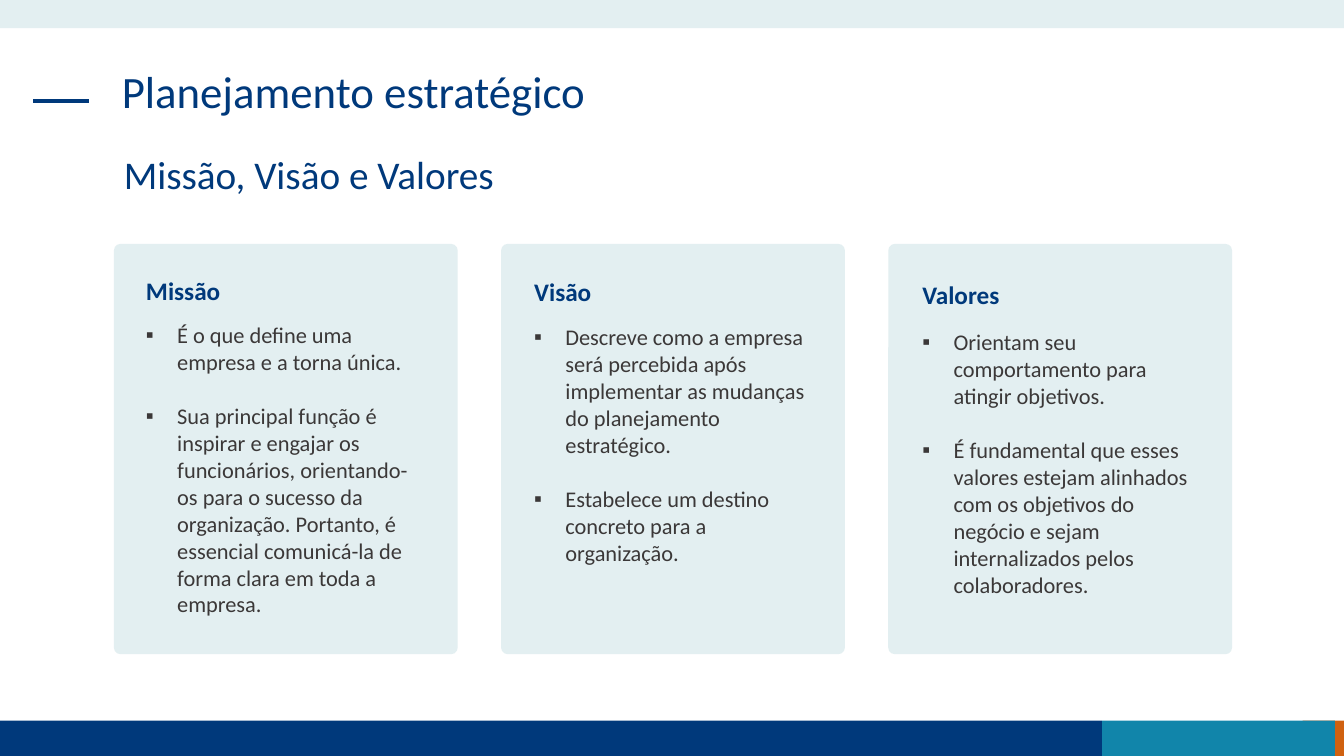
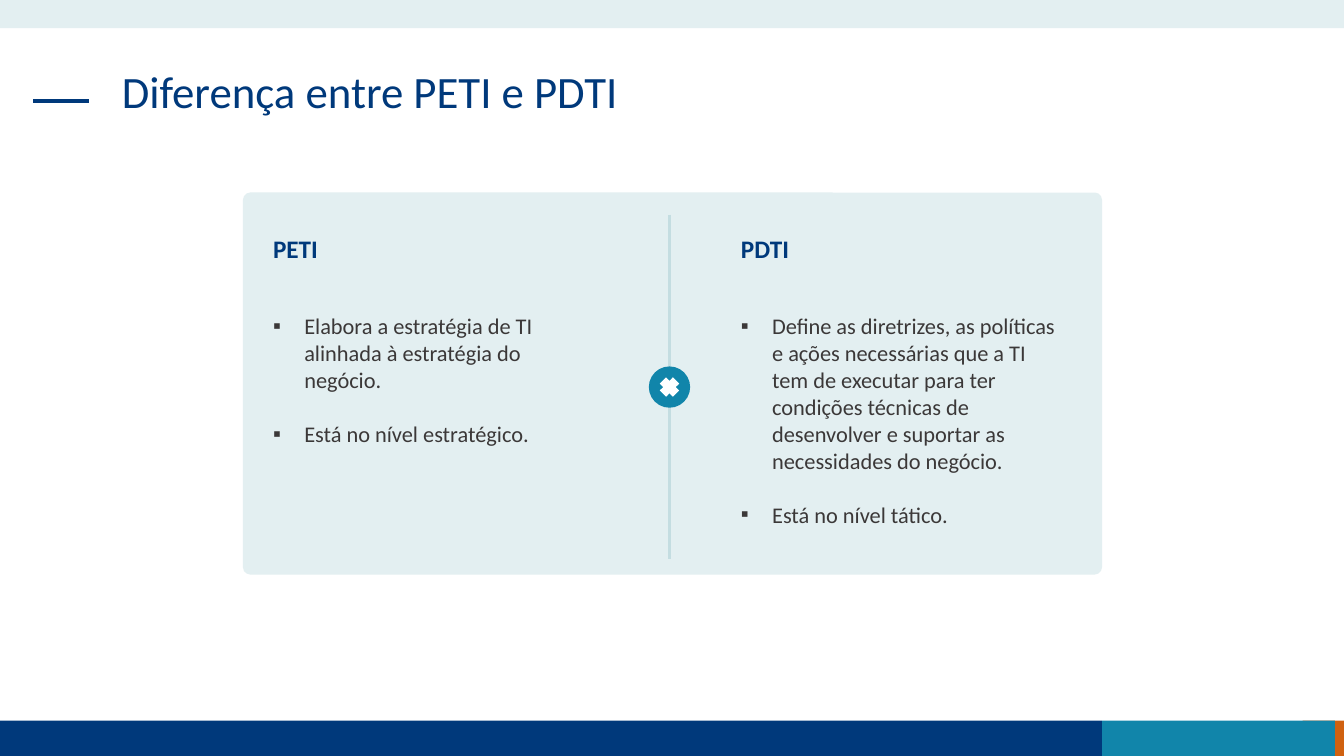
"""Builds two slides on strategic planning: mission, vision and values; PETI and PDTI."""
from lxml import etree
from pptx import Presentation
from pptx.dml.color import RGBColor
from pptx.enum.shapes import MSO_CONNECTOR, MSO_SHAPE
from pptx.oxml.ns import qn
from pptx.util import Inches, Pt

NAVY = RGBColor(0x00, 0x39, 0x7B)
TEAL = RGBColor(0x11, 0x85, 0xAA)
ORANGE = RGBColor(0xD0, 0x61, 0x10)
PALE = RGBColor(0xE3, 0xEF, 0xF1)
DIVIDER = RGBColor(0xC4, 0xDD, 0xE1)
GREY = RGBColor(0x3B, 0x38, 0x38)
WHITE = RGBColor(0xFF, 0xFF, 0xFF)
FONT = "Calibri"
WIDTH, HEIGHT = 13.33, 7.5
FOOT_TOP, FOOT_H = 7.15, 0.35

BANDS = [
    (12.92, FOOT_TOP, 0.41, FOOT_H, ORANGE),
    (0, FOOT_TOP, 10.93, FOOT_H, NAVY),
    (10.93, FOOT_TOP, 2.31, FOOT_H, TEAL),
    (0, 0, WIDTH, 0.28, PALE),
]

PILLARS = [
    ("Missão", 2.68, 3.14, [
        "É o que define uma empresa e a torna única.",
        "Sua principal função é inspirar e engajar os funcionários, orientando-os para o "
        "sucesso da organização. Portanto, é essencial comunicá-la de forma clara em toda "
        "a empresa."]),
    ("Visão", 2.69, 3.16, [
        "Descreve como a empresa será percebida após implementar as mudanças do "
        "planejamento estratégico.",
        "Estabelece um destino concreto para a organização."]),
    ("Valores", 2.72, 3.21, [
        "Orientam seu comportamento para atingir objetivos.",
        "É fundamental que esses valores estejam alinhados com os objetivos do negócio e "
        "sejam internalizados pelos colaboradores."]),
]

PLANS = [
    ("PETI", [
        "Elabora a estratégia de TI alinhada à estratégia do negócio.",
        "Está no nível estratégico."]),
    ("PDTI", [
        "Define as diretrizes, as políticas e ações necessárias que a TI tem de executar "
        "para ter condições técnicas de desenvolver e suportar as necessidades do negócio.",
        "Está no nível tático."]),
]


def add_box(slide, kind, x, y, w, h, fill, adj=None):
    sp = slide.shapes.add_shape(kind, Inches(x), Inches(y), Inches(w), Inches(h))
    sp.shadow.inherit = False
    sp.fill.solid()
    sp.fill.fore_color.rgb = fill
    sp.line.fill.background()
    if adj is not None:
        sp.adjustments[0] = adj


def add_line(slide, x1, y1, x2, y2, color, width):
    cx = slide.shapes.add_connector(
        MSO_CONNECTOR.STRAIGHT, Inches(x1), Inches(y1), Inches(x2), Inches(y2))
    cx.line.color.rgb = color
    cx.line.width = Pt(width)
    etree.SubElement(cx._element.spPr, qn("a:effectLst"))


def add_bullet(p):
    pPr = p._p.get_or_add_pPr()
    pPr.set("marL", str(Inches(0.31)))
    pPr.set("indent", str(-Inches(0.31)))
    etree.SubElement(pPr, qn("a:buFont"), typeface="Arial")
    etree.SubElement(pPr, qn("a:buChar"), char="▪")


def add_text(slide, paragraphs, x, y, w, h, size=16, color=GREY, bold=False,
             bullets=False, spacing=None, gap=19.5):
    tf = slide.shapes.add_textbox(Inches(x), Inches(y), Inches(w), Inches(h)).text_frame
    tf.word_wrap = True
    for i, line in enumerate(paragraphs):
        p = tf.add_paragraph() if i else tf.paragraphs[0]
        if bullets:
            add_bullet(p)
        if i:
            p.space_before = Pt(gap)
        if spacing:
            p.line_spacing = spacing
        r = p.add_run()
        r.text = line
        r.font.name = FONT
        r.font.size = Pt(size)
        r.font.bold = bold
        r.font.color.rgb = color


def add_topic(slide, heading, points, x, heading_top, points_top, w, h):
    add_text(slide, [heading], x, heading_top, w, 0.4, size=18, color=NAVY, bold=True)
    add_text(slide, points, x, points_top, w, h, bullets=True)


def new_slide(prs, title):
    slide = prs.slides.add_slide(prs.slide_layouts[6])
    for x, y, w, h, color in BANDS:
        add_box(slide, MSO_SHAPE.RECTANGLE, x, y, w, h, color)
    add_line(slide, 0.33, 1, 0.88, 1, NAVY, 3)
    add_text(slide, [title], 1.11, 0.64, 11.1, 0.94, size=32, color=NAVY, spacing=0.9)
    return slide


def build_pillars(prs):
    slide = new_slide(prs, "Planejamento estratégico")
    add_text(slide, ["Missão, Visão e Valores"], 1.13, 1.49, 11.09, 0.59,
             size=28, color=NAVY, spacing=0.9)
    for i, (heading, heading_top, points_top, points) in enumerate(PILLARS):
        add_box(slide, MSO_SHAPE.ROUNDED_RECTANGLE, 1.13 + i * 3.84, 2.42, 3.41, 4.07,
                PALE, adj=0.019)
        add_topic(slide, heading, points, 1.35 + i * 3.85, heading_top, points_top, 2.96, 3)


def build_plans(prs):
    slide = new_slide(prs, "Diferença entre PETI e PDTI")
    add_box(slide, MSO_SHAPE.ROUNDED_RECTANGLE, 2.41, 1.91, 8.52, 3.79, PALE, adj=0.019)
    for i, (heading, points) in enumerate(PLANS):
        add_topic(slide, heading, points, 2.61 + i * 4.64, 2.27, 3.05, 3.41, 2.26)
    mid_x, mid_y = 6.64, 3.84
    add_line(slide, mid_x, 2.13, mid_x, 5.55, DIVIDER, 1.5)
    for kind, size, color, adj in [(MSO_SHAPE.OVAL, 0.41, TEAL, None),
                                   (MSO_SHAPE.MATH_MULTIPLY, 0.25, WHITE, 0.35)]:
        add_box(slide, kind, mid_x - size / 2, mid_y - size / 2, size, size, color, adj)


def main():
    prs = Presentation()
    prs.slide_width, prs.slide_height = Inches(WIDTH), Inches(HEIGHT)
    build_pillars(prs)
    build_plans(prs)
    prs.save("out.pptx")


if __name__ == "__main__":
    main()
